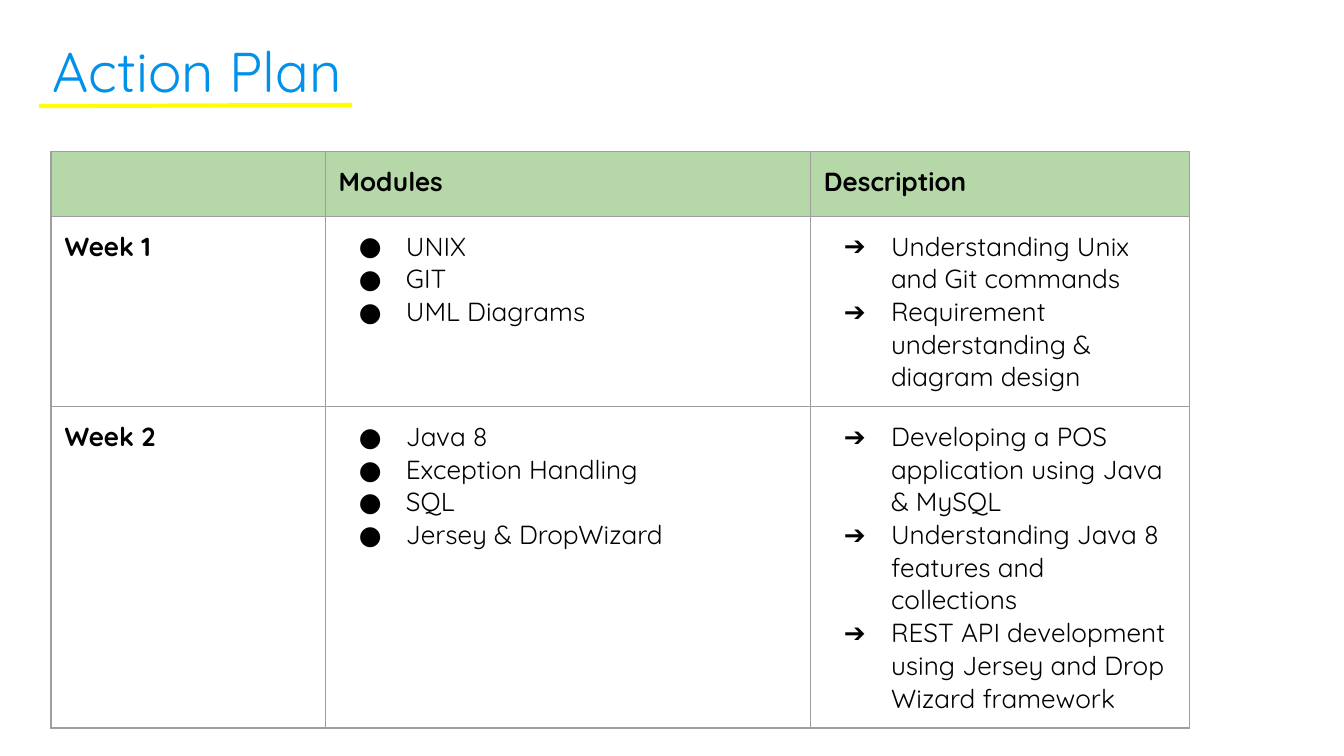
"""Build the Action Plan slide."""
from lxml.etree import SubElement as Sub
from pptx import Presentation as Deck
from pptx.dml.color import RGBColor as RGB
from pptx.enum.lang import MSO_LANGUAGE_ID as Lang
from pptx.enum.shapes import MSO_CONNECTOR as Link
from pptx.enum.text import MSO_ANCHOR as Anchor, MSO_AUTO_SIZE as Fit, PP_ALIGN as Align
from pptx.oxml.ns import qn
from pptx.util import Inches, Pt

BLUE = RGB(0x00, 0x91, 0xEA)
GREEN = RGB(0xB6, 0xD7, 0xA8)
GREY = RGB(0x9E, 0x9E, 0x9E)
BLACK = RGB(0, 0, 0)
YELLOW = RGB(0xFF, 0xFF, 0)
FACE = "Quicksand"
WIDE = 10
COLS = [2.04, 3.61, 2.82]
ROWS = [0.47, 1.18, 2.03]
HEADS = ["", "Modules", "Description"]
WEEKS = [
    ("Week 1",
     ["UNIX", "GIT", "UML Diagrams"],
     ["Understanding Unix and Git commands",
      "Requirement understanding & diagram design"]),
    ("Week 2",
     ["Java 8", "Exception Handling", "SQL", "Jersey & DropWizard"],
     ["Developing a POS application using Java & MySQL",
      "Understanding Java 8 features and collections",
      "REST API development using Jersey and Drop Wizard framework"]),
]


def write(para, text, size=14, color=BLACK, bold=False, mark=None):
    """Put formatted text in a paragraph, with a bullet if a mark is given."""
    para.alignment = Align.LEFT
    if mark:
        props = para._p.get_or_add_pPr()
        props.set("marL", str(Inches(0.5)))
        props.set("indent", str(Inches(-0.35)))
        tint = Sub(props, qn("a:buClr"))
        Sub(tint, qn("a:srgbClr"), val=str(BLACK))
        Sub(props, qn("a:buSzPts"), val=str(size * 100))
        Sub(props, qn("a:buFont"), typeface=FACE)
        Sub(props, qn("a:buChar"), char=mark)
    run = para.add_run()
    run.text = text
    font = run.font
    font.name, font.size, font.bold = FACE, Pt(size), bold
    font.language_id = Lang.ENGLISH_US
    font.color.rgb = color


def pad(box):
    """Give a cell or text frame equal margins."""
    box.margin_left = box.margin_right = Inches(0.1)
    box.margin_top = box.margin_bottom = Inches(0.1)


def edge(cell):
    """Draw thin lines on all sides of a cell."""
    props = cell._tc.get_or_add_tcPr()
    for side in ("lnL", "lnR", "lnT", "lnB"):
        line = Sub(props, qn(f"a:{side}"), w=str(Pt(0.75)))
        fill = Sub(line, qn("a:solidFill"))
        Sub(fill, qn("a:srgbClr"), val=str(GREY))


def fill_cell(cell, items, tint=None, **form):
    """Format a cell and write one paragraph per item."""
    pad(cell)
    edge(cell)
    if tint:
        cell.fill.solid()
        cell.fill.fore_color.rgb = tint
    else:
        cell.fill.background()
    frame = cell.text_frame
    for i, item in enumerate(items):
        para = frame.add_paragraph() if i else frame.paragraphs[0]
        write(para, item, **form)


def add_title(slide):
    """Place the title."""
    title = slide.shapes.title
    title.left, title.top = Inches(0.29), Inches(0)
    title.width, title.height = Inches(3.24), Inches(0.87)
    frame = title.text_frame
    pad(frame)
    frame.auto_size = Fit.NONE
    frame.word_wrap = True
    frame.vertical_anchor = Anchor.BOTTOM
    write(frame.paragraphs[0], "Action Plan", size=30, color=BLUE)


def add_plan(slide):
    """Add the table of weeks."""
    table = slide.shapes.add_table(
        len(ROWS), len(COLS), Inches(0.38), Inches(1.13),
        Inches(sum(COLS)), Inches(sum(ROWS))).table
    table.first_row = table.horz_banding = False
    for col, width in zip(table.columns, COLS):
        col.width = Inches(width)
    for row, height in zip(table.rows, ROWS):
        row.height = Inches(height)
    for c, head in enumerate(HEADS):
        fill_cell(table.cell(0, c), [head], tint=GREEN, bold=True)
    for r, (week, mods, notes) in enumerate(WEEKS, 1):
        fill_cell(table.cell(r, 0), [week], bold=True)
        fill_cell(table.cell(r, 1), mods, mark="●")
        fill_cell(table.cell(r, 2), notes, mark="➔")


def add_rule(slide):
    """Underline the title."""
    rule = slide.shapes.add_connector(
        Link.STRAIGHT, Inches(0.29), Inches(0.79), Inches(2.62), Inches(0.78))
    rule.line.color.rgb = YELLOW
    rule.line.width = Pt(2.25)
    Sub(rule._element.spPr, qn("a:effectLst"))


def main():
    """Build and save the deck."""
    deck = Deck()
    deck.slide_width, deck.slide_height = Inches(WIDE), Inches(WIDE * 9 / 16)
    slide = deck.slides.add_slide(deck.slide_layouts[5])
    add_title(slide)
    add_plan(slide)
    add_rule(slide)
    deck.save("out.pptx")


if __name__ == "__main__":
    main()
